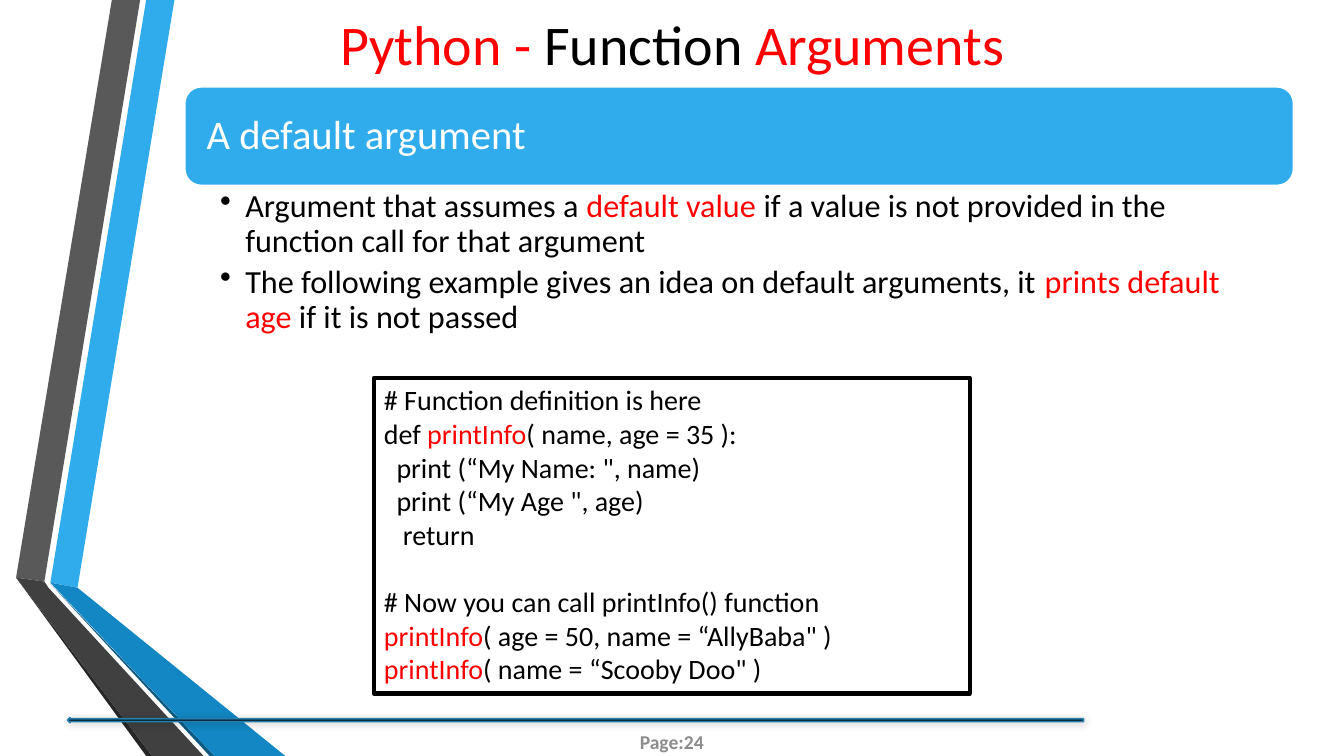
from lxml import etree
from pptx import Presentation
from pptx.dml.color import RGBColor
from pptx.enum.shapes import MSO_SHAPE as SHAPE
from pptx.enum.text import MSO_ANCHOR as ANCHOR, PP_ALIGN as ALIGN
from pptx.oxml import parse_xml
from pptx.oxml.ns import nsdecls, qn
from pptx.util import Pt

COLORS = {"blue": "30ACEC", "mid_blue": "1287C3", "navy": "0C5A82",
          "rule": "247FAF", "gray": "595959", "charcoal": "404040",
          "dark": "262626", "page": "8C8C8C", "red": "FF0000",
          "black": "000000", "white": "FFFFFF"}


def rgb(name):
    return RGBColor.from_string(COLORS[name])


def write(sp, lines, size, color="black", bold=False, insets=(7.2, 3.6, 7.2, 3.6),
          anchor=ANCHOR.TOP, bullet=False, **formats):
    """Fill a shape with paragraphs; text between bars is red."""
    tf = sp.text_frame
    tf.word_wrap = True
    tf.vertical_anchor = anchor
    for side, inset in zip(("left", "top", "right", "bottom"), insets):
        setattr(tf, f"margin_{side}", Pt(inset))
    for i, line in enumerate(lines):
        p = tf.add_paragraph() if i else tf.paragraphs[0]
        if bullet:
            pPr = p._p.get_or_add_pPr()
            pPr.set("marL", str(Pt(18)))
            pPr.set("indent", str(Pt(-18)))
            etree.SubElement(pPr, qn("a:buChar")).set("char", "•")
        for name, value in {"alignment": ALIGN.LEFT, **formats}.items():
            setattr(p, name, value)
        for j, text in enumerate(line.split("|")):
            if text:
                r = p.add_run()
                r.text = text
                font = {"name": "Calibri", "size": Pt(size), "bold": bold}
                for name, value in font.items():
                    setattr(r.font, name, value)
                r.font.color.rgb = rgb("red" if j % 2 else color)


prs = Presentation()
prs.slide_width, prs.slide_height = Pt(960), Pt(540)
s = prs.slides.add_slide(prs.slide_layouts[6])

# Folded ribbons on the left
ribbons = [
    ("blue", [(36, 416.2), (55.4, 419.8), (124.6, 0), (104.4, 0)]),
    ("gray", [(100.1, 0), (79.9, 0), (11.5, 412.6), (31.7, 415.4)]),
    ("dark", [(11.5, 412.6), (104.4, 540), (108.7, 540)]),
    ("navy", [(36, 416.9), (149.8, 540), (153.4, 540)]),
    ("mid_blue", [(36, 416.2), (153.4, 540), (203.8, 540), (55.4, 419.8)]),
    ("charcoal", [(145.4, 540), (34.6, 419.8), (31.7, 415.4), (11.5, 412.6),
                  (108.7, 540)]),
]
for color, points in ribbons:
    corners = [(Pt(x), Pt(y)) for x, y in points]
    builder = s.shapes.build_freeform(*corners[0])
    builder.add_line_segments(corners[1:])
    sp = builder.convert_to_shape()
    sp.shadow.inherit = False
    sp.fill.solid()
    sp.fill.fore_color.rgb = rgb(color)
    sp.line.fill.background()

# Page number
page = s.shapes.add_textbox(Pt(416.2), Pt(515.5), Pt(127.4), Pt(28.8))
write(page, ["Page:24"], 14, "page", bold=True, insets=(2.9, 1.4, 2.9, 1.4),
      anchor=ANCHOR.MIDDLE, alignment=ALIGN.CENTER)

# Footer rule, heading bar and code frame
panels = {}
for name, kind, box, fill, line, width in [
    ("rule", SHAPE.LEFT_ARROW, (48.2, 512.6, 725.8, 3.6), "black", "rule", 1.25),
    ("heading", SHAPE.ROUNDED_RECTANGLE, (132, 62, 792, 70.5), "blue", "white", 1.25),
    ("code", SHAPE.RECTANGLE, (267.1, 270, 425.5, 225.4), None, "black", 3),
]:
    sp = panels[name] = s.shapes.add_shape(kind, *map(Pt, box))
    sp.shadow.inherit = False
    if fill:
        sp.fill.solid()
        sp.fill.fore_color.rgb = rgb(fill)
    else:
        sp.fill.background()
    sp.line.color.rgb = rgb(line)
    sp.line.width = Pt(width)

# Soft shadow under the footer rule
effects = panels["rule"]._element.spPr.find(qn("a:effectLst"))
effects.append(parse_xml(
    f'<a:outerShdw {nsdecls("a")} blurRad="{Pt(6)}" dist="{Pt(1)}" dir="2700000">'
    f'<a:srgbClr val="{COLORS["black"]}"><a:alpha val="20000"/></a:srgbClr>'
    '</a:outerShdw>'))

# Title
title = s.shapes.add_textbox(0, 0, Pt(960), Pt(62))
write(title, ["|Python - |Function |Arguments"], 40, anchor=ANCHOR.MIDDLE,
      alignment=ALIGN.CENTER)

# Heading and its bullets
write(panels["heading"], ["A default argument"], 29, "white",
      insets=(12.2, 12.2, 12.2, 12.2), anchor=ANCHOR.MIDDLE, line_spacing=0.9)
bullets = s.shapes.add_textbox(Pt(132), Pt(132.5), Pt(792), Pt(113.8))
write(bullets, [
    "Argument that assumes a |default value |if a value is not provided in the "
    "function call for that argument",
    "The following example gives an idea on default arguments, it "
    "|prints default age |if it is not passed",
], 23, insets=(25.2, 2.9, 16.6, 2.9), bullet=True, line_spacing=0.9,
    space_after=Pt(4.6))

# Code example, with a one-line gap before the calls
write(panels["code"], [
    "# Function definition is here",
    "def |printInfo|( name, age = 35 ):",
    '  print (“My Name: ", name)',
    '  print (“My Age ", age)',
    "   return",
    "# Now you can call printInfo() function",
    '|printInfo|( age = 50, name = “AllyBaba" )',
    '|printInfo|( name = “Scooby Doo" )',
], 20)
panels["code"].text_frame.paragraphs[5].space_before = Pt(24)

prs.save("out.pptx")
